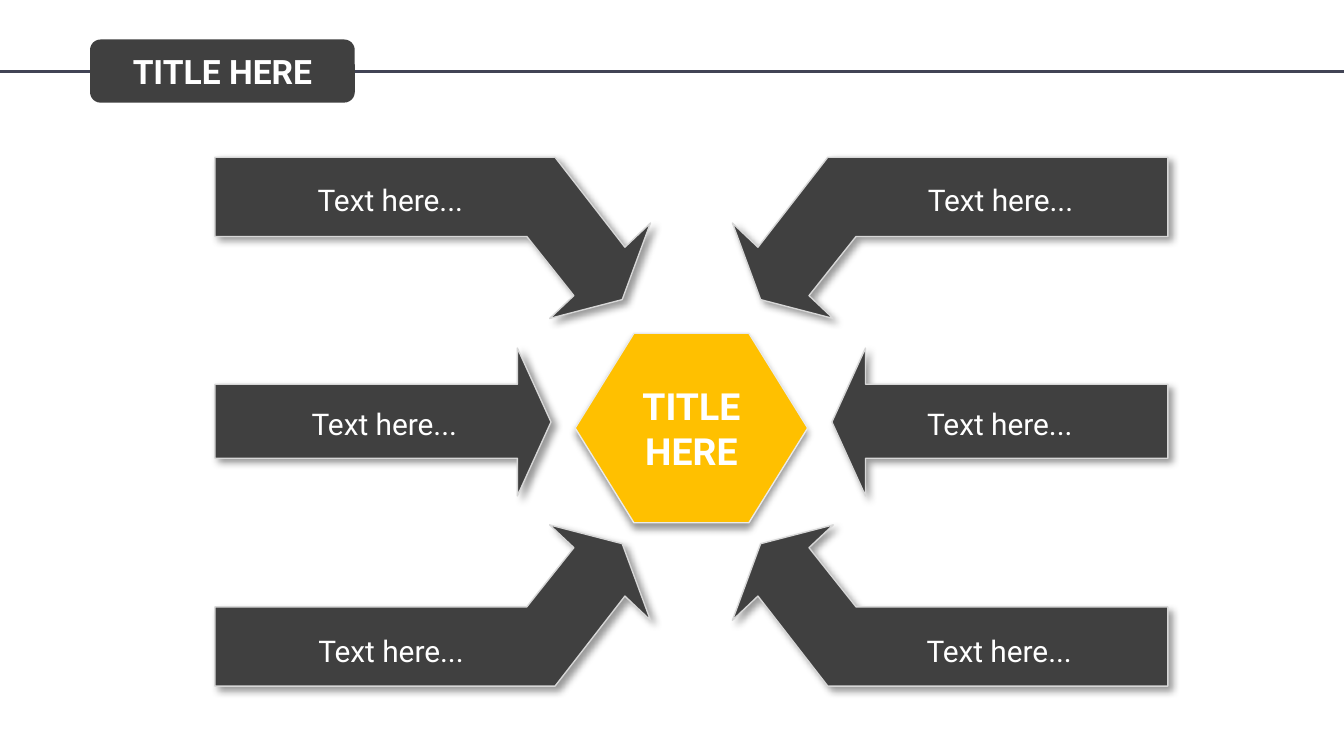
from lxml.etree import SubElement
from pptx import Presentation
from pptx.dml.color import RGBColor
from pptx.enum.shapes import MSO_CONNECTOR, MSO_SHAPE
from pptx.enum.text import MSO_ANCHOR, MSO_AUTO_SIZE, PP_ALIGN
from pptx.oxml.ns import qn
from pptx.util import Inches, Pt

DARK, AMBER, WHITE = "404040", "FFC000", "FFFFFF"
COLS, ROWS = 100, 56.25  # square grid cells across and down the slide
CELL = Inches(10) // COLS


def grid(*cells):
    return [round(c * CELL) for c in cells]


def paint(fill, colour):
    """Make a shape, line or font fill solid in the hex colour."""
    fill.solid()
    fill.fore_color.rgb = RGBColor.from_string(colour)


prs = Presentation()
prs.slide_width, prs.slide_height = grid(COLS, ROWS)
s = prs.slides.add_slide(prs.slide_layouts[5])
texts = []   # shape, wording, size, bold, anchor
raised = []  # shape, fill, outline, shadow angle

# Header rule and title on its rounded plate
rule = s.shapes.add_connector(MSO_CONNECTOR.STRAIGHT, *grid(0, 5.3, COLS, 5.3))
paint(rule.line.fill, "414455")
rule.line.width = Pt(1.5)
SubElement(rule.element.spPr, qn("a:effectLst"))

title_box = grid(6.7, 2.94, 19.7, 4.7)
plate = s.shapes.add_shape(MSO_SHAPE.ROUNDED_RECTANGLE, *title_box)
paint(plate.fill, DARK)
plate.line.fill.background()
plate.shadow.inherit = False

title = s.shapes.title
title.left, title.top, title.width, title.height = title_box
plate.element.addnext(title.element)
texts.append((title, "TITLE HERE", 18, True, MSO_ANCHOR.MIDDLE))

# Arrows: one straight and one bent outline, mirrored about the centre
MID_X, MID_Y = 51.45, 31.38
straight = [(16, 34.1), (16, 28.6), (38.5, 28.6), (38.5, 25.9),
            (41, 31.4), (38.5, 36.9), (38.5, 34.1)]
bent = [(16, 11.7), (41.3, 11.7), (46.5, 18.4), (48.4, 16.6), (46.3, 22.3),
        (40.9, 23.7), (42.7, 22), (39.2, 17.6), (16, 17.6)]
for outline, flip_y in ((straight, 1), (bent, 1), (bent, -1)):
    for flip_x in (1, -1):
        points = [grid(MID_X + flip_x * (x - MID_X), MID_Y + flip_y * (y - MID_Y))
                  for x, y in outline]
        builder = s.shapes.build_freeform(*points[0])
        builder.add_line_segments(points[1:], close=True)
        raised.append((builder.convert_to_shape(), DARK, "D7D7D7", 45))

# Arrow labels
for top, left, width in ((13, 16.3, 25.5), (29.7, 15.4, 26.4), (46.6, 16.4, 25.4),
                         (46.6, 61.8, 25.1), (29.7, 61.2, 26.4), (13, 61.8, 25.3)):
    label = s.shapes.add_textbox(*grid(left, top, width, 3.7))
    texts.append((label, "Text here...", 16, False, MSO_ANCHOR.TOP))

# Central hexagon
hub = s.shapes.add_group_shape()
hexagon = hub.shapes.add_shape(MSO_SHAPE.HEXAGON, *grid(42.8, 24.8, 17.3, 14.1))
hexagon.adjustments[0] = 0.31
raised.append((hexagon, AMBER, "EAEAEA", 90))
hub_text = hub.shapes.add_textbox(*grid(46.65, 28.03, 9.6, 7.7))
paint(hub_text.fill, AMBER)
texts.append((hub_text, "TITLE\nHERE", 20, True, MSO_ANCHOR.TOP))

# Fill, outline and soft shadow of the raised shapes
for sp, fill, outline, angle in raised:
    paint(sp.fill, fill)
    paint(sp.line.fill, outline)
    sp.line.width = Pt(0.75)
    sp.shadow.inherit = False
    shadow = SubElement(sp.element.spPr.find(qn("a:effectLst")), qn("a:outerShdw"),
                        blurRad=str(Pt(4)), dist=str(Pt(3)), dir=str(angle * 60000),
                        algn="ctr", rotWithShape="0")
    black = SubElement(shadow, qn("a:srgbClr"), val="000000")
    SubElement(black, qn("a:alpha"), val="40000")

# Wording
for sp, wording, size, bold, anchor in texts:
    tf = sp.text_frame
    tf.text = wording
    tf.word_wrap = True
    tf.auto_size = MSO_AUTO_SIZE.NONE
    tf.vertical_anchor = anchor
    for p in tf.paragraphs:
        p.alignment = PP_ALIGN.CENTER
        for r in p.runs:
            r.font.name, r.font.size, r.font.bold = "Roboto", Pt(size), bold
            paint(r.font.fill, WHITE)

prs.save("out.pptx")
